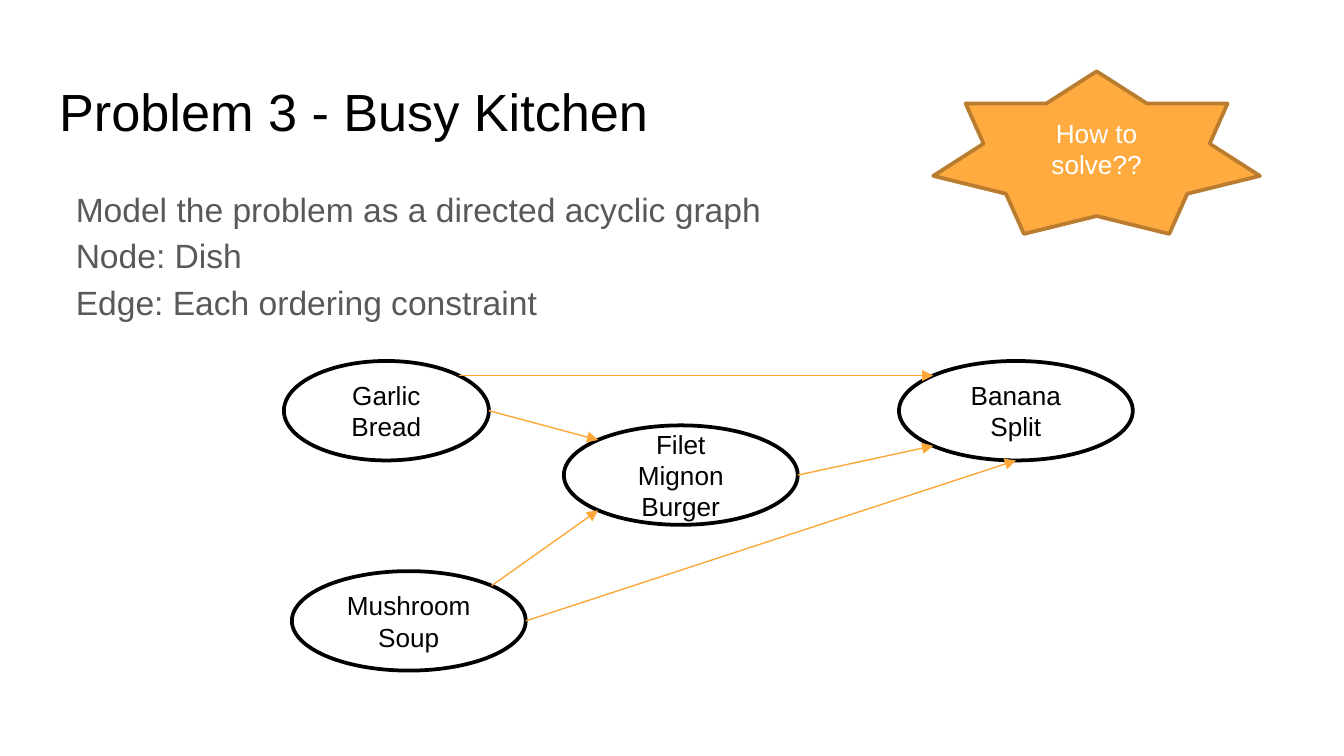
from dataclasses import dataclass
from math import cos, radians, sin

from lxml.etree import SubElement
from pptx import Presentation
from pptx.dml.color import RGBColor
from pptx.enum.shapes import MSO_CONNECTOR as Connector, MSO_SHAPE as Shape
from pptx.enum.text import MSO_ANCHOR as Anchor, PP_ALIGN as Align
from pptx.oxml.ns import qn
from pptx.util import Pt


@dataclass(frozen=True)
class Theme:
    font: str = "Arial"
    black: str = "000000"
    grey: str = "595959"
    white: str = "FFFFFF"
    arrow: str = "FDA739"
    star: str = "FFAB40"
    star_line: str = "BA7C2E"
    title_size: float = 28
    body_size: float = 18
    label_size: float = 14
    outline: float = 2
    arrow_width: float = 0.75


THEME = Theme()

NODE_HEIGHT = 53.3
# Name: left, top, width
NODES = {
    "Garlic Bread": (152.1, 193.4, 109.8),
    "Filet Mignon Burger": (302.1, 227.9, 125.3),
    "Mushroom Soup": (156.4, 306, 125.3),
    "Banana Split": (481.6, 193.4, 125.3),
}
# Start node and angle, end node and angle, in degrees clockwise from the right
EDGES = [
    ("Garlic Bread", 0, "Filet Mignon Burger", 225),
    ("Mushroom Soup", -45, "Filet Mignon Burger", 135),
    ("Garlic Bread", -45, "Banana Split", 225),
    ("Filet Mignon Burger", 0, "Banana Split", 135),
    ("Mushroom Soup", 0, "Banana Split", 90),
]


def rgb(code):
    return RGBColor.from_string(code)


def write(shape, text, *, size, color, align=Align.LEFT, anchor=Anchor.TOP,
          margin=7.2, indent=0, spacing=1.0):
    """Fill a shape with one paragraph per line of text."""
    frame = shape.text_frame
    frame.word_wrap = True
    frame.vertical_anchor = anchor
    frame.margin_left = frame.margin_right = Pt(7.2)
    frame.margin_top = frame.margin_bottom = Pt(margin)
    frame.text = text
    for para in frame.paragraphs:
        para.alignment = align
        para.line_spacing = spacing
        para.space_before = Pt(0)
        if indent:
            para._p.get_or_add_pPr().set("marL", str(Pt(indent)))
        for span in para.runs:
            span.font.name = THEME.font
            span.font.size = Pt(size)
            span.font.color.rgb = rgb(color)


def add_title(slide, text):
    title = slide.shapes.title
    title.left, title.top, title.width, title.height = map(Pt, (24.5, 35, 671, 45.1))
    write(title, text, size=THEME.title_size, color=THEME.black)


def add_body(slide, text):
    box = slide.shapes.add_textbox(Pt(24.5), Pt(90.7), Pt(671), Pt(269))
    write(box, text, size=THEME.body_size, color=THEME.grey, indent=9, spacing=1.15)


def add_label_shape(slide, kind, text, bounds, *, line, color, fill=None):
    shape = slide.shapes.add_shape(kind, *map(Pt, bounds))
    shape.shadow.inherit = False
    if fill:
        shape.fill.solid()
        shape.fill.fore_color.rgb = rgb(fill)
    else:
        shape.fill.background()
    shape.line.color.rgb = rgb(line)
    shape.line.width = Pt(THEME.outline)
    write(shape, text, size=THEME.label_size, color=color, align=Align.CENTER,
          anchor=Anchor.MIDDLE, margin=3.6)


def rim_point(name, angle):
    """Point on a node's ellipse at the given angle."""
    left, top, width = NODES[name]
    turn = radians(angle)
    return (Pt(left + width / 2 * (1 + cos(turn))),
            Pt(top + NODE_HEIGHT / 2 * (1 + sin(turn))))


def add_arrow(slide, start, end):
    arrow = slide.shapes.add_connector(Connector.STRAIGHT, *start, *end)
    arrow.line.color.rgb = rgb(THEME.arrow)
    arrow.line.width = Pt(THEME.arrow_width)
    SubElement(arrow.line._get_or_add_ln(), qn("a:tailEnd"), type="triangle",
               w="med", len="med")
    SubElement(arrow._element.spPr, qn("a:effectLst"))


def main():
    deck = Presentation()
    deck.slide_width, deck.slide_height = Pt(720), Pt(405)
    slide = deck.slides.add_slide(deck.slide_layouts[5])

    add_title(slide, "Problem 3 - Busy Kitchen")
    add_body(slide, "Model the problem as a directed acyclic graph\n"
                    "Node: Dish\n"
                    "Edge: Each ordering constraint")
    for name, (left, top, width) in NODES.items():
        add_label_shape(slide, Shape.OVAL, name, (left, top, width, NODE_HEIGHT),
                        line=THEME.black, color=THEME.black)
    for source, source_angle, target, target_angle in EDGES:
        add_arrow(slide, rim_point(source, source_angle),
                  rim_point(target, target_angle))
    add_label_shape(slide, Shape.STAR_7_POINT, "How to solve??",
                    (500, 38.2, 175, 87.1), line=THEME.star_line,
                    color=THEME.white, fill=THEME.star)

    deck.save("out.pptx")


if __name__ == "__main__":
    main()
